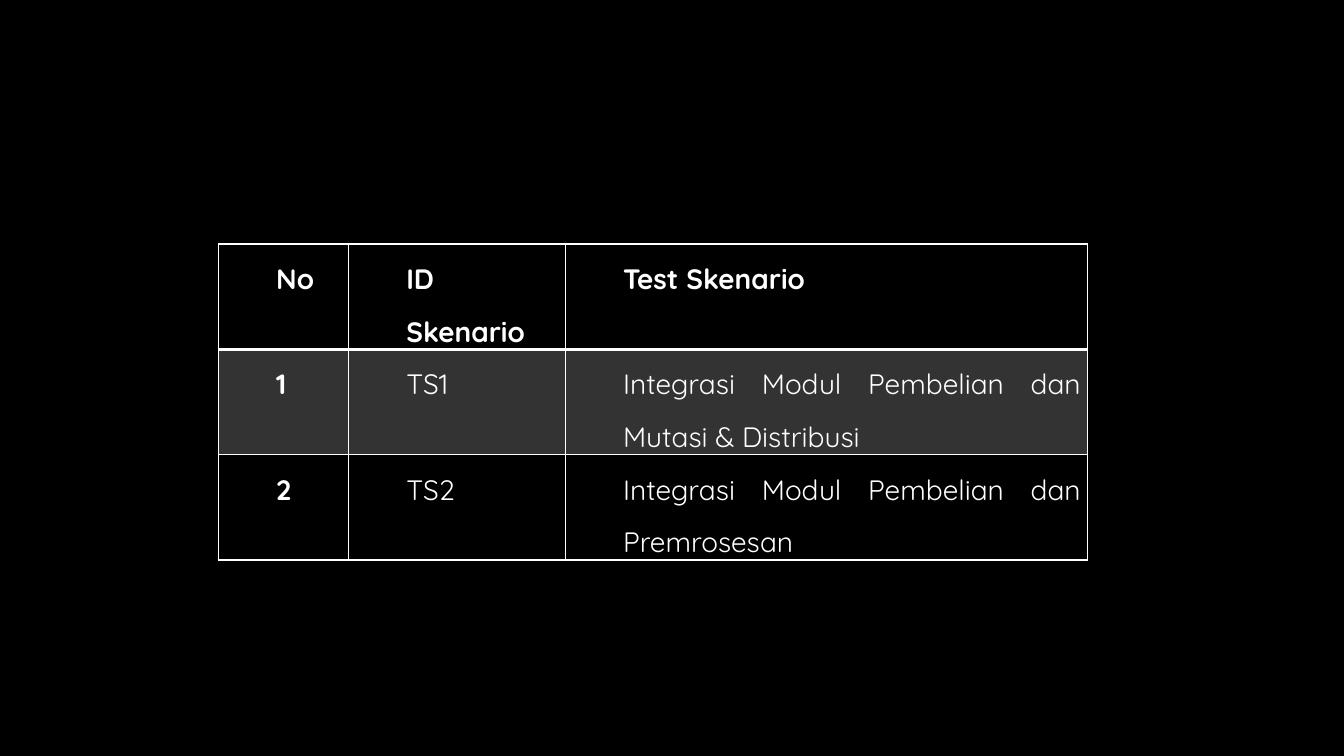
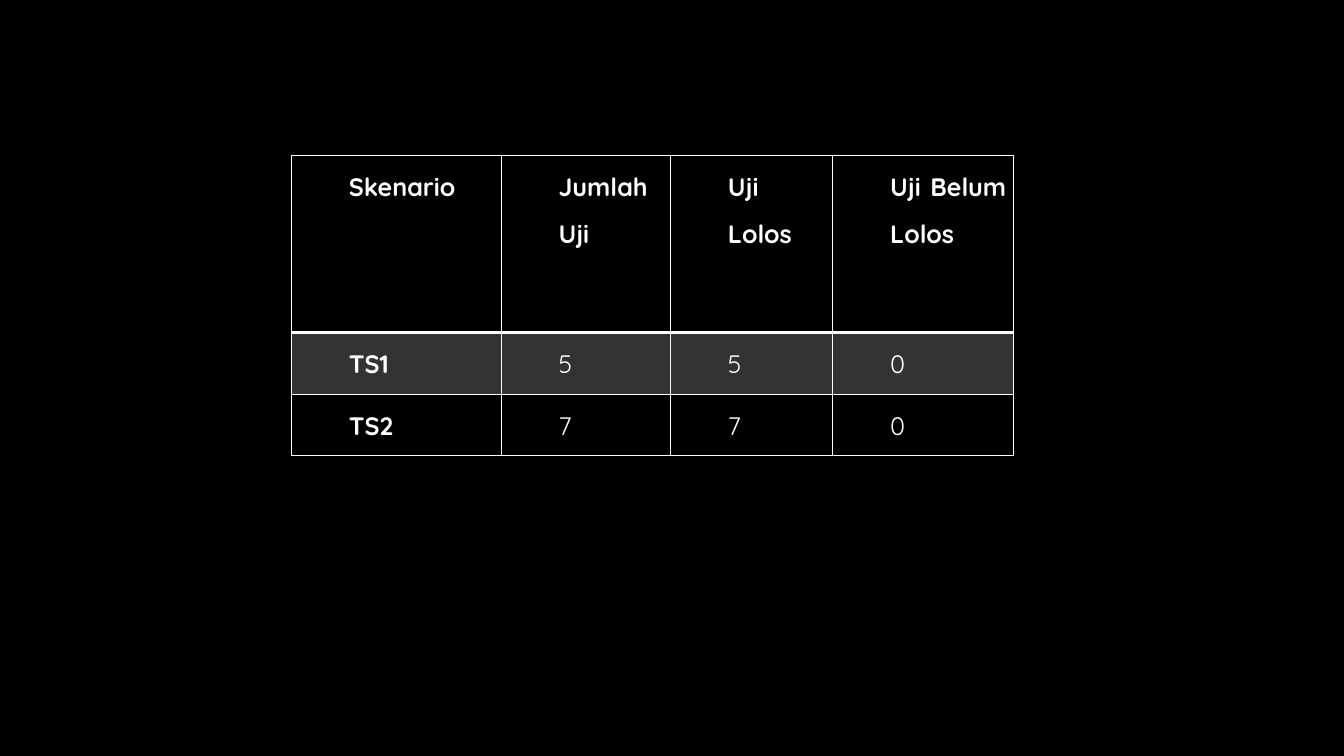
from dataclasses import dataclass

from lxml.etree import SubElement
from pptx import Presentation
from pptx.dml.color import RGBColor
from pptx.enum.text import PP_ALIGN
from pptx.oxml.ns import qn
from pptx.util import Inches, Pt


@dataclass(frozen=True)
class Theme:
    font: str = "Quicksand"
    background: str = "000000"
    ink: str = "FFFFFF"
    band_alpha: int = 20
    line: float = 1
    header_line: float = 2
    inset: float = 0.07
    indent: float = 0.5
    spacing: float = 1.5


THEME = Theme()

TABLES = [
    {
        "left": 2.17, "top": 2.42, "size": 20,
        "cols": [1.29, 2.15, 5.18],
        "heights": [1, 1, 1],
        "rows": [
            ("No", "ID Skenario", "Test Skenario"),
            ("1", "TS1", "Integrasi Modul Pembelian dan Mutasi & Distribusi"),
            ("2", "TS2", "Integrasi Modul Pembelian dan Premrosesan"),
        ],
    },
    {
        "left": 2.89, "top": 1.54, "size": 18,
        "cols": [2.08, 1.68, 1.61, 1.79],
        "heights": [1.76, 0.61, 0.61],
        "rows": [
            ("Skenario", "Jumlah Uji", "Uji Lolos", "Uji Belum Lolos"),
            ("TS1", "5", "5", "0"),
            ("TS2", "7", "7", "0"),
        ],
    },
]


def fill_cell(cell, banded):
    if not banded:
        cell.fill.background()
        return
    cell.fill.solid()
    cell.fill.fore_color.rgb = RGBColor.from_string(THEME.ink)
    color = cell._tc.tcPr.find(qn("a:solidFill")).find(qn("a:srgbClr"))
    SubElement(color, qn("a:alpha"), val=str(THEME.band_alpha * 1000))


def border_cell(cell, row):
    widths = {"L": THEME.line, "R": THEME.line,
              "T": THEME.header_line if row == 1 else THEME.line,
              "B": THEME.header_line if row == 0 else THEME.line}
    tcPr = cell._tc.get_or_add_tcPr()
    for i, (side, width) in enumerate(widths.items()):
        ln = SubElement(tcPr, qn(f"a:ln{side}"), w=str(Pt(width)))
        SubElement(SubElement(ln, qn("a:solidFill")), qn("a:srgbClr"), val=THEME.ink)
        tcPr.insert(i, ln)


def write_cell(cell, text, size, bold):
    cell.margin_left = cell.margin_right = Inches(THEME.inset)
    cell.margin_top = cell.margin_bottom = 0
    cell.text = text
    p = cell.text_frame.paragraphs[0]
    p.alignment = PP_ALIGN.JUSTIFY
    p.line_spacing = THEME.spacing
    p._p.get_or_add_pPr().set("marL", str(Inches(THEME.indent)))
    p.font.name = THEME.font
    p.font.size = Pt(size)
    p.font.bold = bold
    p.font.color.rgb = RGBColor.from_string(THEME.ink)


def add_test_table(slide, data):
    rows, cols, heights = data["rows"], data["cols"], data["heights"]
    table = slide.shapes.add_table(
        len(rows), len(cols), Inches(data["left"]), Inches(data["top"]),
        Inches(sum(cols)), Inches(sum(heights))).table
    for column, width in zip(table.columns, cols):
        column.width = Inches(width)
    for row, height in zip(table.rows, heights):
        row.height = Inches(height)
    for r, texts in enumerate(rows):
        for c, text in enumerate(texts):
            cell = table.cell(r, c)
            write_cell(cell, text, data["size"], bold=r == 0 or c == 0)
            fill_cell(cell, banded=r % 2 == 1)
            border_cell(cell, r)


def main():
    prs = Presentation()
    prs.slide_width, prs.slide_height = Inches(13.33), Inches(7.5)
    fill = prs.slide_master.background.fill
    fill.solid()
    fill.fore_color.rgb = RGBColor.from_string(THEME.background)
    blank = prs.slide_layouts.get_by_name("Blank")
    for data in TABLES:
        add_test_table(prs.slides.add_slide(blank), data)
    prs.save("out.pptx")


if __name__ == "__main__":
    main()
